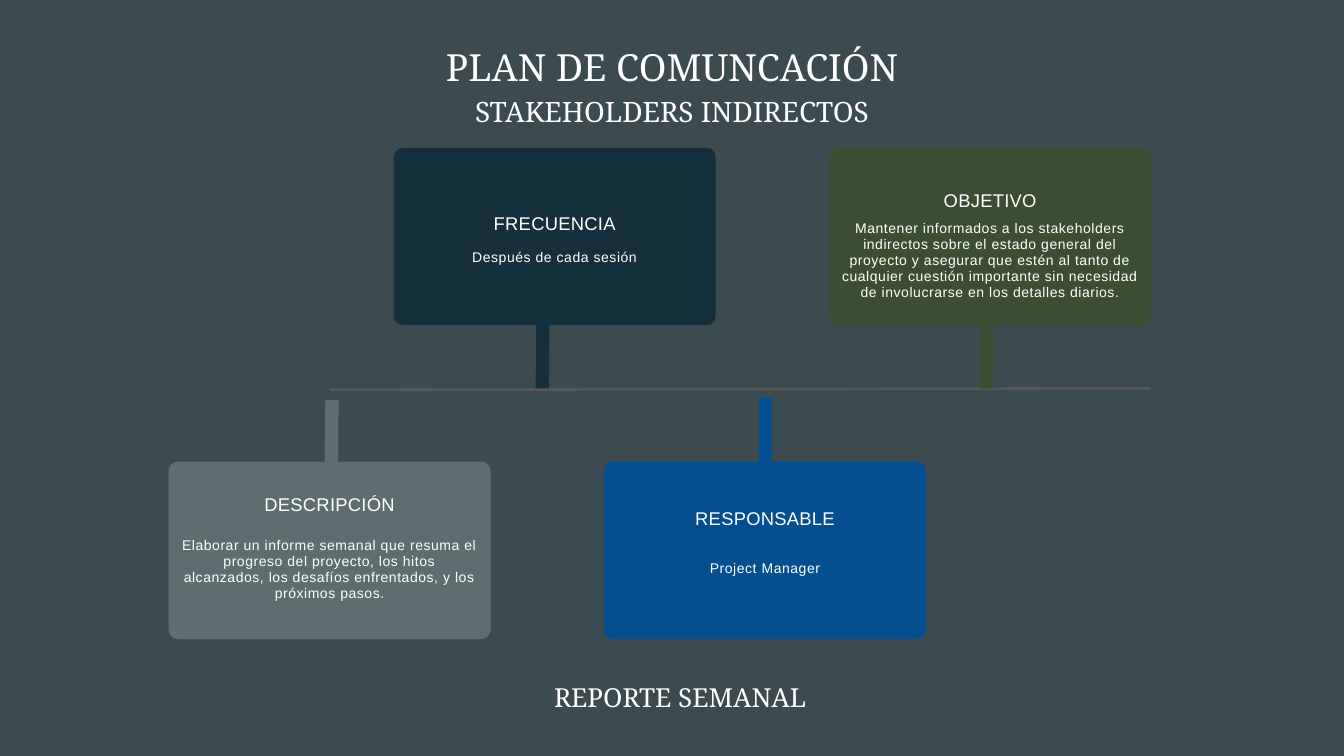
from lxml import etree
from pptx import Presentation
from pptx.dml.color import RGBColor
from pptx.enum.shapes import MSO_CONNECTOR, MSO_SHAPE
from pptx.enum.text import MSO_ANCHOR, MSO_AUTO_SIZE, PP_ALIGN
from pptx.oxml.ns import qn
from pptx.util import Inches, Pt

COLS, ROWS = 20, 11.25
CARD_W, CARD_H, CARD_STEP = 4.79, 2.64, 6.48
LOWER_X, LOWER_Y = 2.51, 6.87
UPPER_X, UPPER_Y = 5.86, 2.2


def rgb(value):
    return RGBColor.from_string(value)


class Board:
    serif, sans = "Noto Serif", "Arial"
    ink, ground, axis = "FFFFFF", "3C4B50", "575757"

    def __init__(self, prs):
        self.col = prs.slide_width / COLS
        self.row = prs.slide_height / ROWS
        self.s = prs.slides.add_slide(prs.slide_layouts[5])
        fill = self.s.background.fill
        fill.solid()
        fill.fore_color.rgb = rgb(self.ground)

    def place(self, x, y, w, h):
        return (round(x * self.col), round(y * self.row),
                round(w * self.col), round(h * self.row))

    def set_lines(self, sp, lines, font, spc=0):
        tf = sp.text_frame
        tf.word_wrap = True
        tf.auto_size = MSO_AUTO_SIZE.SHAPE_TO_FIT_TEXT
        tf.vertical_anchor = MSO_ANCHOR.TOP
        tf.margin_left = tf.margin_right = tf.margin_top = tf.margin_bottom = 0
        for i, (text, size, leading) in enumerate(lines):
            p = tf.add_paragraph() if i else tf.paragraphs[0]
            p.alignment = PP_ALIGN.CENTER
            p.line_spacing = Pt(leading)
            r = p.add_run()
            r.text = text
            r.font.name = font
            r.font.size = Pt(size)
            r.font.color.rgb = rgb(self.ink)
            if spc:
                r._r.get_or_add_rPr().set("spc", str(round(spc * 100)))

    def title(self, x, y, w, h, lines):
        sp = self.s.shapes.title
        sp.left, sp.top, sp.width, sp.height = self.place(x, y, w, h)
        self.set_lines(sp, lines, self.serif)

    def text(self, x, y, w, h, line, font, spc=0):
        sp = self.s.shapes.add_textbox(*self.place(x, y, w, h))
        self.set_lines(sp, [line], font, spc)

    def line(self, x1, y1, x2, y2, color, width):
        ends = self.place(x1, y1, x2, y2)
        ln = self.s.shapes.add_connector(MSO_CONNECTOR.STRAIGHT, *ends)
        ln.line.color.rgb = rgb(color)
        ln.line.width = Pt(width)
        etree.SubElement(ln._element.spPr, qn("a:effectLst"))

    def card(self, x, y, color, heading, heading_y, body, body_y, body_w, body_h):
        sp = self.s.shapes.add_shape(MSO_SHAPE.ROUNDED_RECTANGLE,
                                     *self.place(x, y, CARD_W, CARD_H))
        sp.adjustments[0] = 0.05
        sp.shadow.inherit = False
        sp.fill.solid()
        sp.fill.fore_color.rgb = rgb(color)
        sp.line.fill.background()
        center = x + CARD_W / 2
        self.text(center - 1.27, heading_y, 2.54, 0.31,
                  (heading, 19.7, 22.3), self.sans, 0.3)
        self.text(center - body_w / 2, body_y, body_w, body_h,
                  (body, 15, 17.2), self.sans, 0.6)


def main():
    prs = Presentation()
    prs.slide_width, prs.slide_height = Inches(20), Inches(11.25)
    board = Board(prs)
    board.title(4.93, 0.55, 10.14, 1.34, [
        ("PLAN DE COMUNCACIÓN", 40, 56),
        ("STAKEHOLDERS INDIRECTOS", 30, 42),
    ])

    gray, navy, blue, green = "5E6E70", "152F3C", "044F90", "3C4E32"
    board.line(4.91, 5.8, 17.13, 5.78, board.axis, 3)
    for x1, y1, x2, y2, color in [
        (4.94, 5.95, 4.93, 7.21, gray),
        (8.07, 5.78, 8.08, 4.52, navy),
        (11.39, 5.93, 11.39, 7.19, blue),
        (14.68, 5.78, 14.69, 4.52, green),
    ]:
        board.line(x1, y1, x2, y2, color, 14.25)

    board.card(LOWER_X, LOWER_Y, gray, "DESCRIPCIÓN", 7.36,
               "Elaborar un informe semanal que resuma el progreso del proyecto, "
               "los hitos alcanzados, los desafíos enfrentados, y los próximos pasos.",
               7.99, 4.4, 0.93)
    board.card(LOWER_X + CARD_STEP, LOWER_Y, blue, "RESPONSABLE", 7.57,
               "Project Manager", 8.33, 4.13, 0.24)
    board.card(UPPER_X, UPPER_Y, navy, "FRECUENCIA", 3.18,
               "Después de cada sesión", 3.71, 4.13, 0.24)
    board.card(UPPER_X + CARD_STEP, UPPER_Y, green, "OBJETIVO", 2.83,
               "Mantener informados a los stakeholders indirectos sobre el estado "
               "general del proyecto y asegurar que estén al tanto de cualquier "
               "cuestión importante sin necesidad de involucrarse en los detalles "
               "diarios.", 3.27, 4.6, 1.39)

    board.text(5.05, 10.06, 10.14, 0.53, ("REPORTE SEMANAL", 28, 39.2), board.serif)
    prs.save("out.pptx")


if __name__ == "__main__":
    main()
